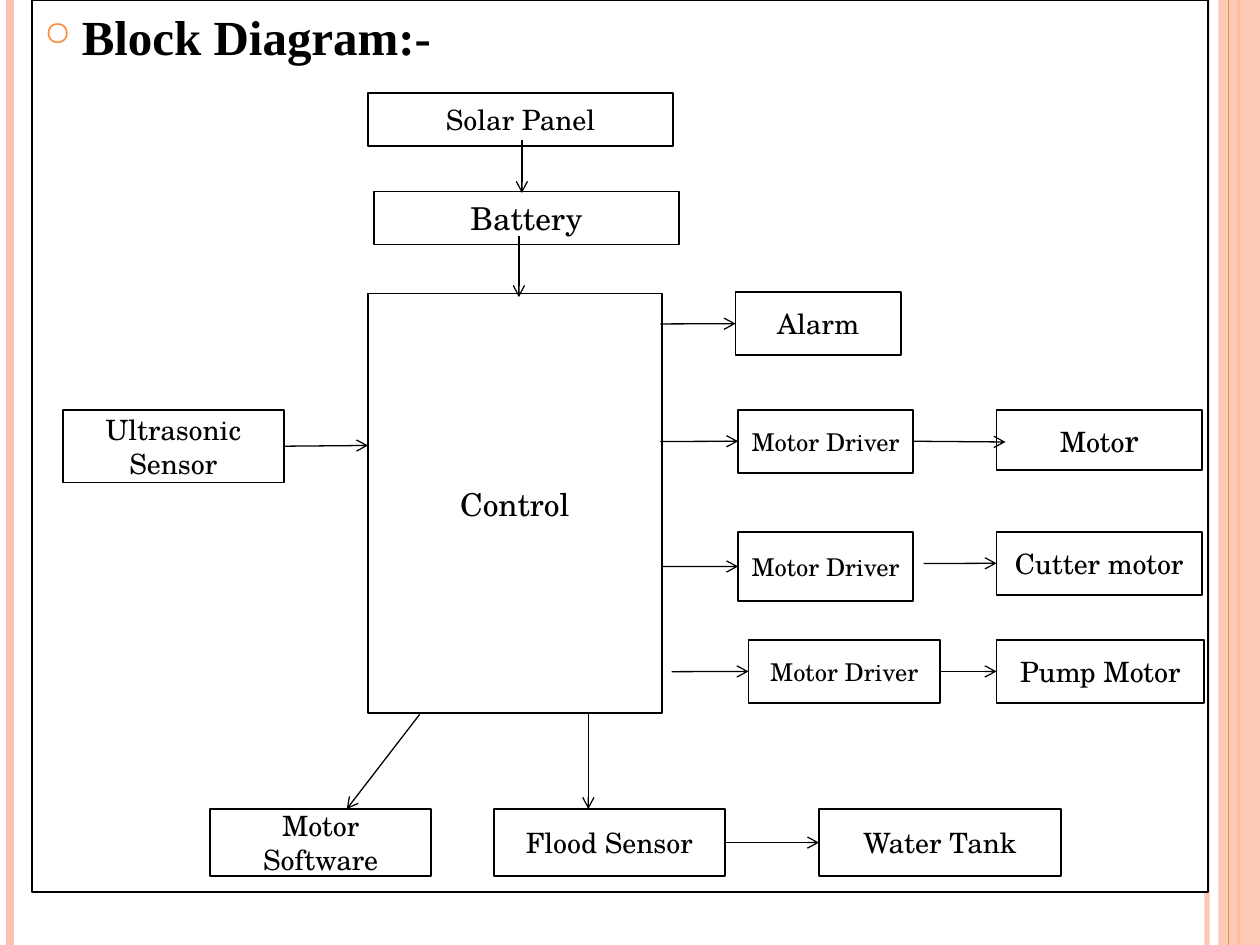
import lxml.etree
import pptx
import pptx.dml.color
import pptx.enum.shapes
import pptx.enum.text
import pptx.oxml.ns
import pptx.util
from pptx.util import Cm, Pt

THEME = {
    "ink": "000000", "paper": "FFFFFF", "peach": "FEC3AE", "orange": "FE8637",
    "title_font": "Times New Roman", "title_size": 28,
    "box_font": "TeX Gyre Schola", "small": 14, "medium": 16, "large": 18,
    "outline": 1, "arrow": 0.75,
}
PAGE_WIDTH, PAGE_HEIGHT = 25.4, 19.05
TOP, LEFT, BOTTOM, RIGHT = range(4)

TITLE = "Block Diagram:-"
FRAME = (0.64, 0, 23.72, 17.98)

# x, colour, width in points, opacity in percent
STRIPES = [
    (24.33, "peach", 3, 93),
    (0.2, "peach", 4.5, 100),
    (24.97, "orange", 1.5, 100),
]
BAND = (24.56, 0, 0.84, PAGE_HEIGHT)
BAND_OPACITY = 87
BAND_STRIPE = (24.77, "orange", 0.75, 100)

# name: (left, top, width, height), text runs with their sizes
BOXES = {
    "solar": ((7.42, 1.88, 6.15, 1.07), [("Solar Panel", "medium")]),
    "battery": ((7.54, 3.86, 6.15, 1.07), [("Battery", "large")]),
    "control": ((7.42, 5.92, 5.92, 8.46), [("Control", "large")]),
    "alarm": ((14.83, 5.89, 3.33, 1.27), [("Alarm", "medium")]),
    "drive driver": ((14.88, 8.26, 3.53, 1.27), [("Motor Driver", "small")]),
    "cutter driver": ((14.88, 10.72, 3.53, 1.4), [("Motor Driver", "small")]),
    "pump driver": ((15.09, 12.9, 3.86, 1.27), [("Motor Driver", "small")]),
    "motor": ((20.09, 8.26, 4.14, 1.22), [("Moto", "medium"), ("r", "large")]),
    "cutter": ((20.09, 10.72, 4.14, 1.27), [("Cutter motor", "medium")]),
    "pump": ((20.09, 12.9, 4.19, 1.27), [("Pump Motor", "medium")]),
    "ultrasonic": ((1.27, 8.26, 4.45, 1.47), [("Ultrasonic Sensor", "medium")]),
    "software": ((4.24, 16.31, 4.45, 1.35), [("Motor Software", "medium")]),
    "flood": ((9.96, 16.31, 4.65, 1.35), [("Flood Sensor", "medium")]),
    "tank": ((16.51, 16.31, 4.88, 1.35), [("Water Tank", "medium")]),
}

# Each end is either (box name, side) or a point (x, y)
ARROWS = [
    ((10.52, 2.82), (10.52, 3.89)),
    ((10.46, 4.75), (10.46, 5.99)),
    (("ultrasonic", RIGHT), (7.42, 8.98)),
    ((13.31, 6.53), ("alarm", LEFT)),
    ((13.31, 8.9), ("drive driver", LEFT)),
    (("drive driver", RIGHT), (20.27, 8.91)),
    ((13.34, 11.42), ("cutter driver", LEFT)),
    ((18.62, 11.36), ("cutter", LEFT)),
    ((13.54, 13.54), ("pump driver", LEFT)),
    (("pump driver", RIGHT), ("pump", LEFT)),
    ((8.46, 14.4), (6.99, 16.31)),
    ((11.86, 14.4), (11.86, 16.31)),
    (("flood", RIGHT), ("tank", LEFT)),
]


def color(name):
    return pptx.dml.color.RGBColor.from_string(THEME[name])


def add_xml(parent, tag, **attributes):
    return lxml.etree.SubElement(parent, pptx.oxml.ns.qn(tag), attributes)


def set_opacity(shape, percent):
    """Make the shape's first solid colour translucent."""
    node = shape._element.spPr.find(".//" + pptx.oxml.ns.qn("a:srgbClr"))
    add_xml(node, "a:alpha", val=str(percent * 1000))


def add_rectangle(page, place, fill="paper", line="ink"):
    box = page.shapes.add_shape(
        pptx.enum.shapes.MSO_SHAPE.RECTANGLE, *map(Cm, place))
    box.shadow.inherit = False
    box.fill.solid()
    box.fill.fore_color.rgb = color(fill)
    if line:
        box.line.color.rgb = color(line)
        box.line.width = Pt(THEME["outline"])
    else:
        box.line.fill.background()
    return box


def add_line(page, start, end, line_color, width):
    line = page.shapes.add_connector(
        pptx.enum.shapes.MSO_CONNECTOR.STRAIGHT, *map(Cm, start + end))
    line.line.color.rgb = color(line_color)
    line.line.width = Pt(width)
    add_xml(line._element.spPr, "a:effectLst")
    return line


def add_stripe(page, x, line_color, width, opacity):
    stripe = add_line(page, (x, 0), (x, PAGE_HEIGHT), line_color, width)
    if opacity < 100:
        set_opacity(stripe, opacity)


def add_title(page):
    frame = add_rectangle(page, FRAME).text_frame
    frame.word_wrap = True
    frame.vertical_anchor = pptx.enum.text.MSO_ANCHOR.TOP
    para = frame.paragraphs[0]
    para.text = TITLE
    para.alignment = pptx.enum.text.PP_ALIGN.LEFT
    para.space_before = Pt(6)
    para.font.name = THEME["title_font"]
    para.font.size = Pt(THEME["title_size"])
    para.font.bold = True
    para.font.color.rgb = color("ink")
    properties = para._p.get_or_add_pPr()
    properties.set("marL", str(Cm(0.76)))
    properties.set("indent", str(-Cm(0.76)))
    bullet = [lxml.etree.Element(pptx.oxml.ns.qn(tag))
              for tag in ("a:buClr", "a:buSzPct", "a:buChar")]
    add_xml(bullet[0], "a:srgbClr", val=THEME["orange"])
    bullet[1].set("val", "70000")
    bullet[2].set("char", "○")
    for node in bullet:
        properties.find(pptx.oxml.ns.qn("a:defRPr")).addprevious(node)


def add_box(page, place, texts):
    box = add_rectangle(page, place)
    frame = box.text_frame
    frame.word_wrap = True
    frame.vertical_anchor = pptx.enum.text.MSO_ANCHOR.MIDDLE
    para = frame.paragraphs[0]
    para.alignment = pptx.enum.text.PP_ALIGN.CENTER
    para.font.name = THEME["box_font"]
    para.font.color.rgb = color("ink")
    para.font.size = Pt(THEME[texts[0][1]])
    for text, size in texts:
        span = para.add_run()
        span.text = text
        if len(texts) > 1:
            span.font.size = Pt(THEME[size])
    return box


def add_arrow(page, boxes, start, end):
    """Draw an arrow, joining each end that names a box and a side."""
    points = [(0, 0) if stop[0] in boxes else stop for stop in (start, end)]
    arrow = add_line(page, *points, "ink", THEME["arrow"])
    for stop, connect in ((start, arrow.begin_connect), (end, arrow.end_connect)):
        if stop[0] in boxes:
            connect(boxes[stop[0]], stop[1])
    add_xml(arrow._element.spPr.find(pptx.oxml.ns.qn("a:ln")),
            "a:tailEnd", type="arrow")


def main():
    deck = pptx.Presentation()
    deck.slide_width, deck.slide_height = Cm(PAGE_WIDTH), Cm(PAGE_HEIGHT)
    page = deck.slides.add_slide(deck.slide_layouts[6])
    for stripe in STRIPES:
        add_stripe(page, *stripe)
    band = add_rectangle(page, BAND, "peach", None)
    set_opacity(band, BAND_OPACITY)
    add_stripe(page, *BAND_STRIPE)
    add_title(page)
    boxes = {name: add_box(page, *box) for name, box in BOXES.items()}
    for start, end in ARROWS:
        add_arrow(page, boxes, start, end)
    deck.save("out.pptx")


if __name__ == "__main__":
    main()
